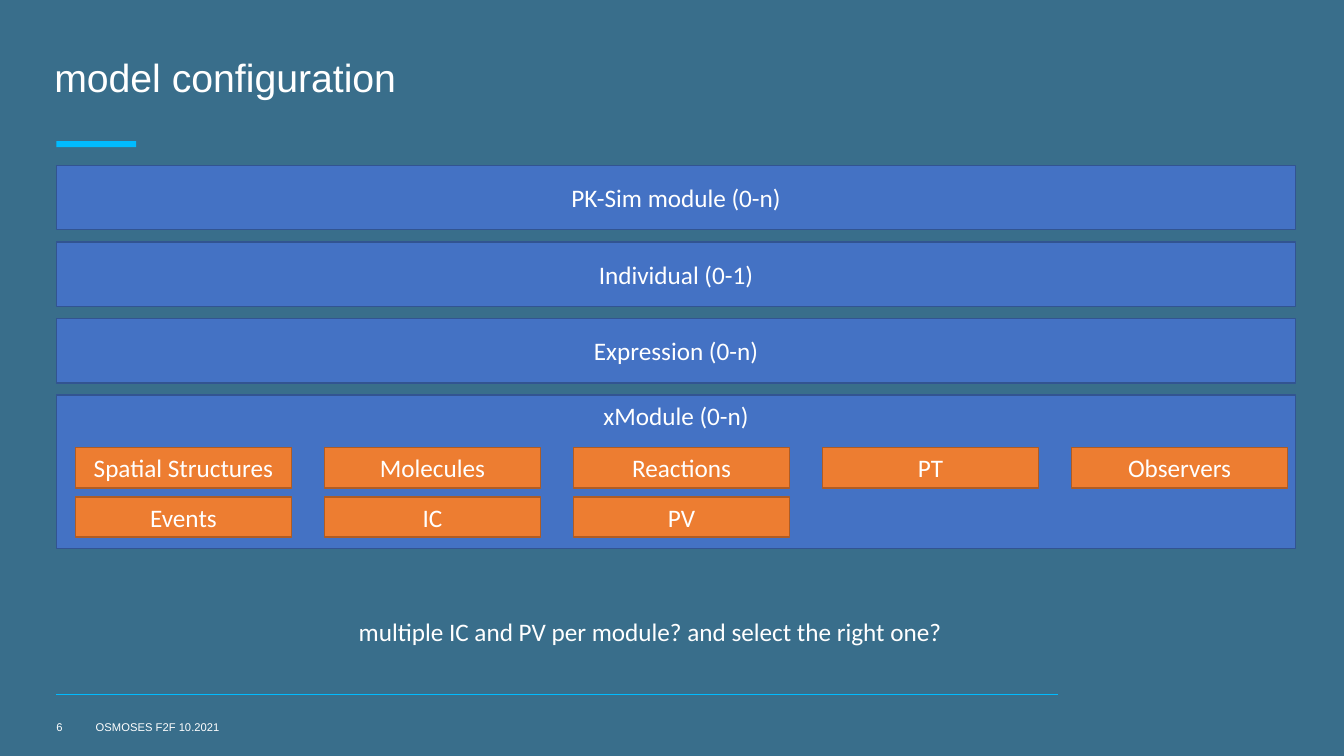
import dataclasses

import pptx
import pptx.dml.color
import pptx.enum.shapes
import pptx.enum.text
import pptx.oxml.ns
import pptx.shapes.autoshape
import pptx.slide
import pptx.text.text
import pptx.util
from lxml import etree

Anchor = pptx.enum.text.MSO_ANCHOR
Align = pptx.enum.text.PP_ALIGN


@dataclasses.dataclass(frozen=True)
class Theme:
    background: str = "396E8B"
    accent: str = "00BBFF"
    text: str = "FFFFFF"
    bar_fill: str = "4472C4"
    bar_line: str = "325491"
    tile_fill: str = "ED7D31"
    tile_line: str = "AF5C24"
    heading_font: str = "Arial"
    body_font: str = "Calibri"
    title_size: float = 28
    body_size: float = 18
    footer_size: float = 8
    box_line: float = 1
    rule_line: float = 0.5


@dataclasses.dataclass(frozen=True)
class Box:
    left: float
    top: float
    width: float
    height: float

    def emu(self) -> tuple[int, ...]:
        return tuple(pptx.util.Inches(v) for v in dataclasses.astuple(self))


@dataclasses.dataclass(frozen=True)
class Grid:
    left: float
    top: float
    col_width: float
    row_height: float
    col_gap: float
    row_gap: float

    def cell(self, col: int, row: int, rows: float = 1) -> Box:
        row_pitch = self.row_height + self.row_gap
        return Box(
            self.left + col * (self.col_width + self.col_gap),
            self.top + row * row_pitch,
            self.col_width,
            rows * row_pitch - self.row_gap,
        )


@dataclasses.dataclass(frozen=True)
class Block:
    text: str
    row: int
    col: int = 0
    rows: float = 1
    anchor: Anchor = Anchor.MIDDLE


@dataclasses.dataclass(frozen=True)
class Label:
    text: str
    box: Box
    font: str
    size: float
    anchor: Anchor = Anchor.TOP
    inset_left: float = 0.1
    inset_top: float = 0.05
    wrap: bool = True


THEME = Theme()
MARGIN = 0.56
BARS = Grid(MARGIN, 1.64, 12.29, 0.64, 0, 0.12)
TILES = Grid(0.75, 4.44, 2.14, 0.4, 0.33, 0.09)
TILE_COLUMNS = 5

BAR_BLOCKS = [
    Block("PK-Sim module (0-n)", 0),
    Block("Individual (0-1)", 1),
    Block("Expression (0-n)", 2),
    Block("xModule (0-n)", 3, rows=2.16, anchor=Anchor.TOP),
]
TILE_NAMES = ["Spatial Structures", "Molecules", "Reactions", "PT", "Observers",
              "Events", "IC", "PV"]
TILE_BLOCKS = [
    Block(name, i // TILE_COLUMNS, i % TILE_COLUMNS) for i, name in enumerate(TILE_NAMES)
]
LABELS = [
    Label("OSMOSES F2F 10.2021", Box(0.95, 7.01, 4.5, 0.4), THEME.heading_font,
          THEME.footer_size, Anchor.MIDDLE, inset_left=0),
    Label("6", Box(MARGIN, 7.01, 0.34, 0.4), THEME.heading_font,
          THEME.footer_size, Anchor.MIDDLE, inset_left=0),
    Label("model configuration", Box(0.44, 0.43, 10.07, 0.45), THEME.heading_font,
          THEME.title_size, inset_top=0.1),
    Label("multiple IC and PV per module? and select the right one?",
          Box(3.46, 6.07, 6.06, 0.4), THEME.body_font, THEME.body_size, wrap=False),
]


def rgb(color: str) -> pptx.dml.color.RGBColor:
    return pptx.dml.color.RGBColor.from_string(color)


def add_run(tf: pptx.text.text.TextFrame, text: str, font: str, size: float,
            align: Align = Align.LEFT) -> None:
    p = tf.paragraphs[0]
    p.alignment = align
    r = p.add_run()
    r.text = text
    r.font.name = font
    r.font.size = pptx.util.Pt(size)
    r.font.color.rgb = rgb(THEME.text)


def add_rect(s: pptx.slide.Slide, box: Box, fill: str,
             line: str | None = None) -> pptx.shapes.autoshape.Shape:
    sp = s.shapes.add_shape(pptx.enum.shapes.MSO_SHAPE.RECTANGLE, *box.emu())
    sp.shadow.inherit = False
    sp.fill.solid()
    sp.fill.fore_color.rgb = rgb(fill)
    if line is None:
        sp.line.fill.background()
    else:
        sp.line.color.rgb = rgb(line)
        sp.line.width = pptx.util.Pt(THEME.box_line)
    return sp


def add_blocks(s: pptx.slide.Slide, grid: Grid, blocks: list[Block],
               fill: str, line: str) -> None:
    for block in blocks:
        sp = add_rect(s, grid.cell(block.col, block.row, block.rows), fill, line)
        tf = sp.text_frame
        tf.word_wrap = True
        tf.vertical_anchor = block.anchor
        add_run(tf, block.text, THEME.body_font, THEME.body_size, Align.CENTER)


def add_label(s: pptx.slide.Slide, label: Label) -> None:
    tf = s.shapes.add_textbox(*label.box.emu()).text_frame
    tf.word_wrap = label.wrap
    tf.vertical_anchor = label.anchor
    tf.margin_left = pptx.util.Inches(label.inset_left)
    tf.margin_top = pptx.util.Inches(label.inset_top)
    if not label.wrap:
        tf.auto_size = pptx.enum.text.MSO_AUTO_SIZE.SHAPE_TO_FIT_TEXT
    add_run(tf, label.text, label.font, label.size)


def add_rule(s: pptx.slide.Slide, left: float, right: float, y: float) -> None:
    start, end, height = (pptx.util.Inches(v) for v in (left, right, y))
    sp = s.shapes.add_connector(
        pptx.enum.shapes.MSO_CONNECTOR.STRAIGHT, start, height, end, height)
    sp.line.color.rgb = rgb(THEME.accent)
    sp.line.width = pptx.util.Pt(THEME.rule_line)
    etree.SubElement(sp._element.spPr, pptx.oxml.ns.qn("a:effectLst"))


def main() -> None:
    prs = pptx.Presentation()
    prs.slide_width = pptx.util.Inches(13.33)
    prs.slide_height = pptx.util.Inches(7.5)
    s = prs.slides.add_slide(prs.slide_layouts[6])
    s.background.fill.solid()
    s.background.fill.fore_color.rgb = rgb(THEME.background)
    add_rect(s, Box(MARGIN, 1.4, 0.79, 0.06), THEME.accent)
    add_rule(s, MARGIN, 10.49, 6.89)
    add_blocks(s, BARS, BAR_BLOCKS, THEME.bar_fill, THEME.bar_line)
    add_blocks(s, TILES, TILE_BLOCKS, THEME.tile_fill, THEME.tile_line)
    for label in LABELS:
        add_label(s, label)
    prs.save("out.pptx")


if __name__ == "__main__":
    main()
